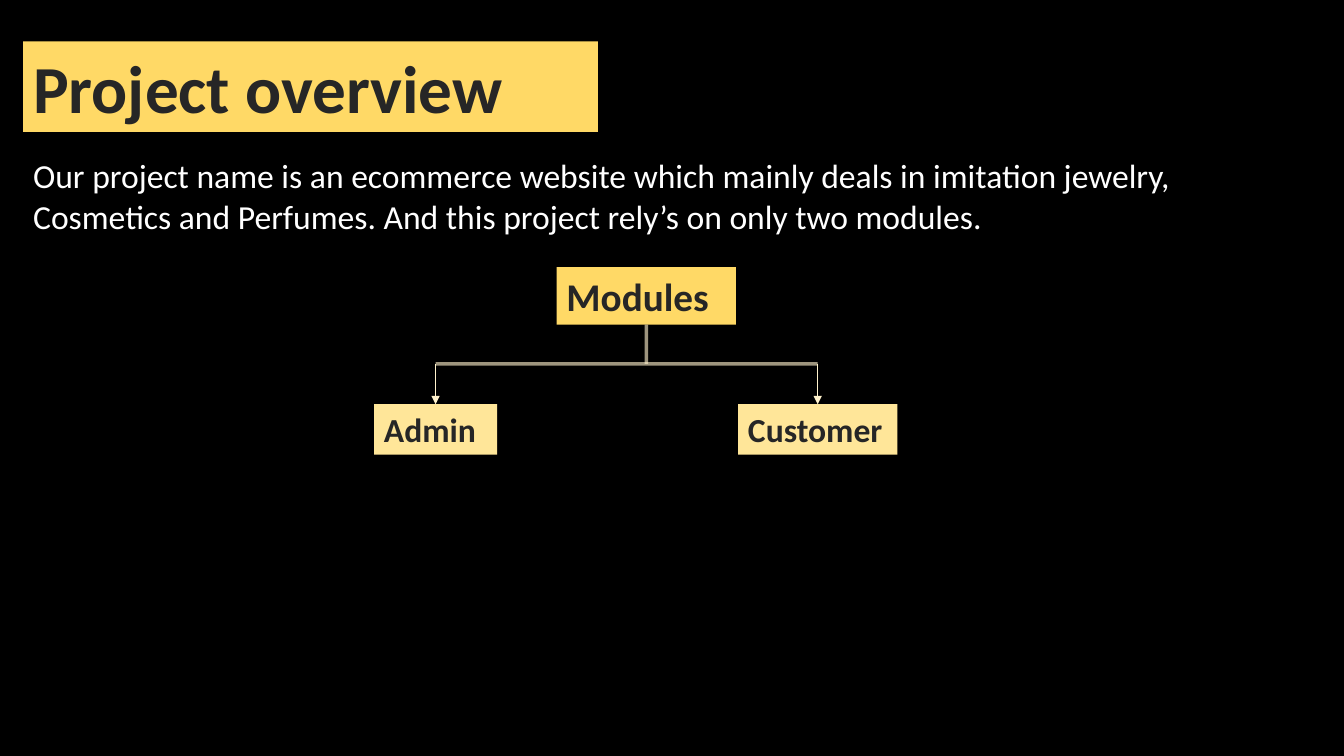
from lxml import etree
from pptx import Presentation
from pptx.dml.color import RGBColor
from pptx.enum.shapes import MSO_CONNECTOR, MSO_SHAPE
from pptx.enum.text import MSO_ANCHOR, PP_ALIGN
from pptx.oxml.ns import qn
from pptx.util import Pt

RECTANGLE = MSO_SHAPE.RECTANGLE
STRAIGHT = MSO_CONNECTOR.STRAIGHT
TOP, LEFT = MSO_ANCHOR.TOP, PP_ALIGN.LEFT
TOP_SITE, BOTTOM_SITE = 0, 2
PX = 9144  # 100 px to the inch

THEME = {
    "font": "Calibri",
    "background": "000000",
    "gold": "FFD966",
    "pale_gold": "FFE699",
    "cream": "FFF2CC",
    "dark": "262626",
    "white": "FFFFFF",
    "title_size": 48,
    "module_size": 28,
    "body_size": 24,
    "trunk_width": 2.5,
    "arrow_width": 0.75,
    "trunk_alpha": "61000",
}


def add_text(text, box, size, color, fill=None, bold=True):
    """Add a text rectangle, filled if a fill colour is named."""
    bounds = [n * PX for n in box]
    if fill:
        shape = slide.shapes.add_shape(RECTANGLE, *bounds)
        shape.shadow.inherit = False
        shape.fill.solid()
        shape.fill.fore_color.rgb = RGBColor.from_string(THEME[fill])
        shape.line.fill.background()
    else:
        shape = slide.shapes.add_textbox(*bounds)
    frame = shape.text_frame
    frame.word_wrap = True
    frame.vertical_anchor = TOP
    paragraph = frame.paragraphs[0]
    paragraph.text = text
    paragraph.alignment = LEFT
    font_format = {"name": THEME["font"], "size": Pt(THEME[size]), "bold": bold}
    for attribute, value in font_format.items():
        setattr(paragraph.font, attribute, value)
    paragraph.font.color.rgb = RGBColor.from_string(THEME[color])
    return shape


def add_line(start, end, width):
    connector = slide.shapes.add_connector(STRAIGHT, *[n * PX for n in start + end])
    connector.line.color.rgb = RGBColor.from_string(THEME["cream"])
    connector.line.width = Pt(THEME[width])
    etree.SubElement(connector._element.spPr, qn("a:effectLst"))
    return connector


deck = Presentation()
deck.slide_width, deck.slide_height = 1333 * PX, 750 * PX
slide = deck.slides.add_slide(deck.slide_layouts[6])
slide.background.fill.solid()
slide.background.fill.fore_color.rgb = RGBColor.from_string(THEME["background"])

add_text("Project overview", (23, 41, 570, 90), "title_size", "dark", "gold")
add_text(
    "Our project name is an ecommerce website which mainly deals in imitation jewelry, "
    "Cosmetics and Perfumes. And this project rely’s on only two modules.",
    (23, 149, 1269, 90), "body_size", "white", bold=False,
)
modules = add_text("Modules", (552, 265, 178, 57), "module_size", "dark", "gold")

BRANCH_Y, MODULE_TOP, MODULE_HEIGHT = 361, 401, 50
MODULES_CENTER, MODULES_BOTTOM = 641, 322
branches = [("Admin", 371, 122), ("Customer", 732, 158)]
admin_x, customer_x = [left + width // 2 for _, left, width in branches]

stem = add_line((MODULES_CENTER, MODULES_BOTTOM), (MODULES_CENTER, BRANCH_Y), "trunk_width")
stem.begin_connect(modules, BOTTOM_SITE)
crossbar = add_line((customer_x, BRANCH_Y), (admin_x, BRANCH_Y), "trunk_width")
for trunk in (stem, crossbar):
    trunk_color = trunk.line._ln.find(".//" + qn("a:srgbClr"))
    etree.SubElement(trunk_color, qn("a:alpha"), val=THEME["trunk_alpha"])

for label, left, width in branches:
    module = add_text(label, (left, MODULE_TOP, width, MODULE_HEIGHT),
                      "body_size", "dark", "pale_gold")
    center = left + width // 2
    arrow = add_line((center, BRANCH_Y), (center, MODULE_TOP), "arrow_width")
    arrow.end_connect(module, TOP_SITE)
    etree.SubElement(arrow.line._ln, qn("a:tailEnd"), type="triangle")

deck.save("out.pptx")
